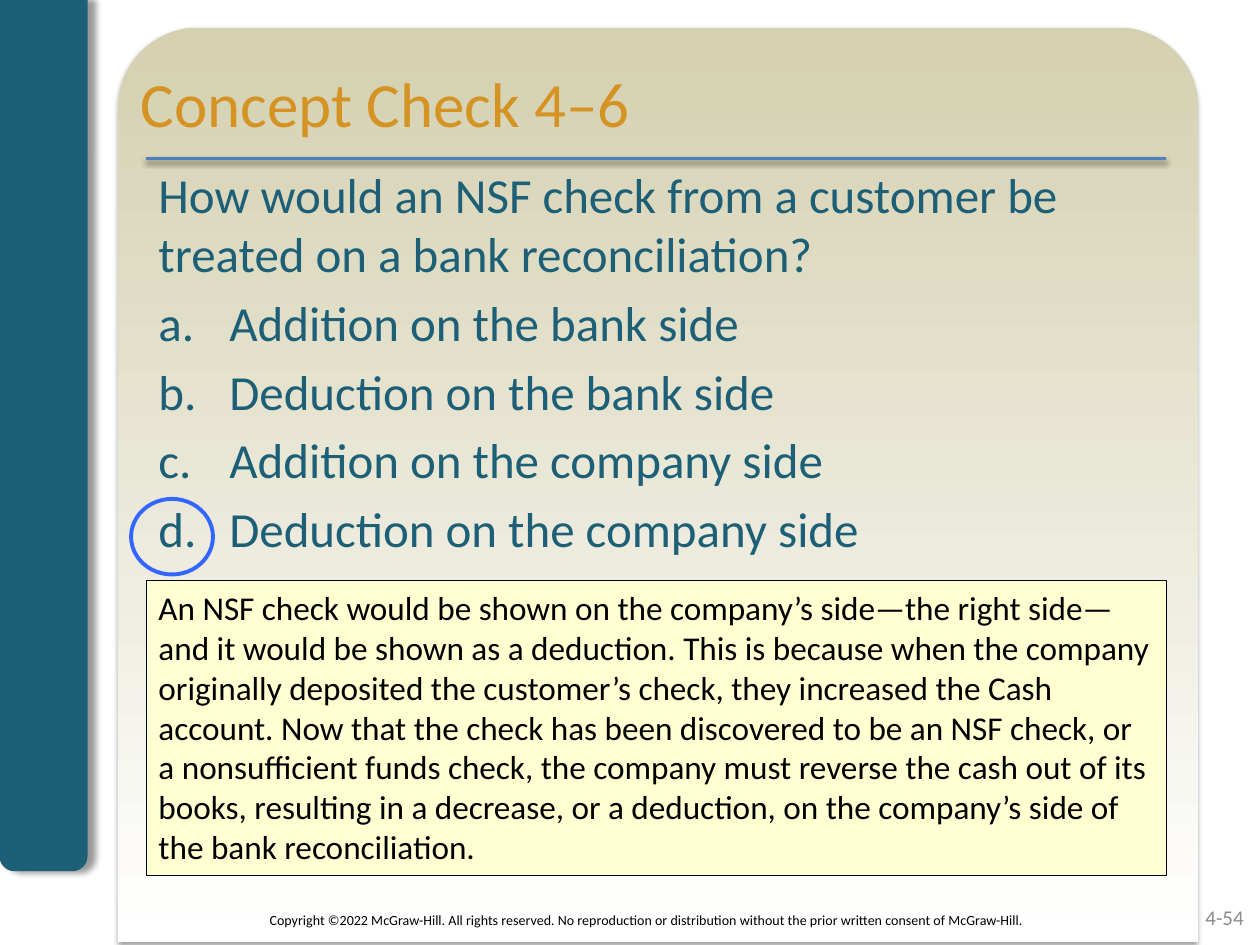
from lxml import etree
from pptx import Presentation, util as u
from pptx.dml import color
from pptx.enum import shapes, text
from pptx.oxml import ns

Pt = u.Pt
TEAL, GOLD, BLACK = "1D5F76", "D49323", "000000"
QUESTION = "How would an NSF check from a customer be treated on a bank reconciliation?"
ANSWERS = [
    "Addition on the bank side",
    "Deduction on the bank side",
    "Addition on the company side",
    "Deduction on the company side",
]
EXPLANATION = (
    "An NSF check would be shown on the company’s side—the right side—and it would be "
    "shown as a deduction. This is because when the company originally deposited the "
    "customer’s check, they increased the Cash account. Now that the check has been "
    "discovered to be an NSF check, or a nonsufficient funds check, the company must "
    "reverse the cash out of its books, resulting in a decrease, or a deduction, on the "
    "company’s side of the bank reconciliation."
)
COPYRIGHT = (
    "Copyright ©2022 McGraw-Hill. All rights reserved. No reproduction or distribution "
    "without the prior written consent of McGraw-Hill."
)


def rgb(value):
    return color.RGBColor.from_string(value)


def apply(target, values):
    for name, value in values.items():
        setattr(target, name, value)


def add_child(parent, tag, **attributes):
    child = etree.SubElement(parent, ns.qn(tag))
    for name, value in attributes.items():
        child.set(name, str(value))
    return child


def add_shadow(shape, opacity, blur, distance, degrees):
    effects = add_child(shape._element.spPr, "a:effectLst")
    outer = add_child(effects, "a:outerShdw", blurRad=Pt(blur), dist=Pt(distance),
                      dir=degrees * 60000, rotWithShape=0)
    shade = add_child(outer, "a:srgbClr", val=BLACK)
    add_child(shade, "a:alpha", val=opacity * 1000)


def add_outline(page, kind, box, fill=None, line=None, width=1):
    shape = page.shapes.add_shape(kind, *map(Pt, box))
    if fill:
        shape.fill.solid()
        shape.fill.fore_color.rgb = rgb(fill)
    else:
        shape.fill.background()
    if line:
        shape.line.color.rgb = rgb(line)
        shape.line.width = Pt(width)
    else:
        shape.line.fill.background()
    return shape


def write(paragraph, words, size, hue):
    span = paragraph.add_run()
    span.text = words
    apply(span.font, {"name": "Calibri", "size": Pt(size)})
    span.font.color.rgb = rgb(hue)


def add_text(page, box, words, size, hue, align=text.PP_ALIGN.LEFT,
             anchor=text.MSO_ANCHOR.MIDDLE, **frame_values):
    frame = page.shapes.add_textbox(*map(Pt, box)).text_frame
    apply(frame, {"word_wrap": True, "vertical_anchor": anchor, **frame_values})
    frame.paragraphs[0].alignment = align
    write(frame.paragraphs[0], words, size, hue)
    return frame


def add_panel(page, box):
    panel = add_outline(page, shapes.MSO_SHAPE.ROUND_2_SAME_RECTANGLE, box)
    panel.adjustments[0] = 0.087
    panel.fill.gradient()
    panel.fill.gradient_angle = 270
    for stop, position, hue in zip(panel.fill.gradient_stops, (0, 1), ("D4D0B0", "FFFFFF")):
        stop.position = position
        stop.color.rgb = rgb(hue)
    add_shadow(panel, 35, 3.1, 1.8, 90)


def add_sidebar(page, box):
    bar = add_outline(page, shapes.MSO_SHAPE.ROUND_2_SAME_RECTANGLE, box, TEAL, TEAL, 0.75)
    bar._element.spPr.xfrm.set("flipV", "1")
    add_shadow(bar, 40, 4, 4, 0)


def add_heading(page, box):
    left, top, width, height = box
    rule_left, rule_top = left + 10, top + 60.5
    rule = page.shapes.add_connector(
        shapes.MSO_CONNECTOR.STRAIGHT,
        Pt(rule_left), Pt(rule_top), Pt(rule_left + 582.5), Pt(rule_top))
    rule.line.color.rgb = rgb("4F81BD")
    rule.line.width = Pt(2)
    add_shadow(rule, 38, 3.1, 1.6, 90)
    add_text(page, box, "Concept Check 4–6", 36, GOLD, margin_bottom=Pt(9))


def add_question(page, box):
    left, top, width, height = box
    frame = add_text(page, box, QUESTION, 28, TEAL, anchor=text.MSO_ANCHOR.TOP)
    for answer in ANSWERS:
        paragraph = frame.add_paragraph()
        properties = paragraph._p.get_or_add_pPr()
        apply_indent = {"marL": Pt(40.5), "indent": Pt(-40.5)}
        for name, value in apply_indent.items():
            properties.set(name, str(value))
        add_child(properties, "a:buFont", typeface="+mj-lt")
        add_child(properties, "a:buAutoNum", type="alphaLcPeriod")
        paragraph.space_before = Pt(5.6)
        write(paragraph, answer, 28, TEAL)


def add_explanation(page, box):
    note = add_outline(page, shapes.MSO_SHAPE.RECTANGLE, box, "FFFFD1", BLACK, 0.5)
    note.shadow.inherit = False
    frame = note.text_frame
    apply(frame, {"word_wrap": True, "vertical_anchor": text.MSO_ANCHOR.TOP,
                  "auto_size": text.MSO_AUTO_SIZE.SHAPE_TO_FIT_TEXT})
    frame.paragraphs[0].alignment = text.PP_ALIGN.LEFT
    write(frame.paragraphs[0], EXPLANATION, 19, BLACK)


def add_footer(page, box):
    left, top, width, height = box
    add_text(page, (left, top + 1.2, 514.8, height), COPYRIGHT, 8, BLACK,
             text.PP_ALIGN.CENTER)
    add_text(page, (left + width - 167.8, top, 167.8, height), "4-54", 12, "8C8C8C",
             text.PP_ALIGN.RIGHT)


def add_answer_ring(page, box):
    ring = add_outline(page, shapes.MSO_SHAPE.OVAL, box, line="3366FF", width=2.25)
    ring.shadow.inherit = False


def main():
    deck = Presentation()
    apply(deck, {"slide_width": Pt(720), "slide_height": Pt(540)})
    page = deck.slides.add_slide(deck.slide_layouts[6])
    add_panel(page, (67.7, 15.8, 617, 522.7))
    add_sidebar(page, (0, 0, 49.7, 497.5))
    add_question(page, (83.5, 90.7, 583.2, 349.2))
    add_heading(page, (73.5, 30.2, 623.5, 62.6))
    add_explanation(page, (83.5, 332, 583.2, 168.5))
    add_footer(page, (112.3, 509.8, 605.5, 28.8))
    add_answer_ring(page, (74.9, 285.1, 46.8, 43.2))
    deck.save("out.pptx")


if __name__ == "__main__":
    main()
